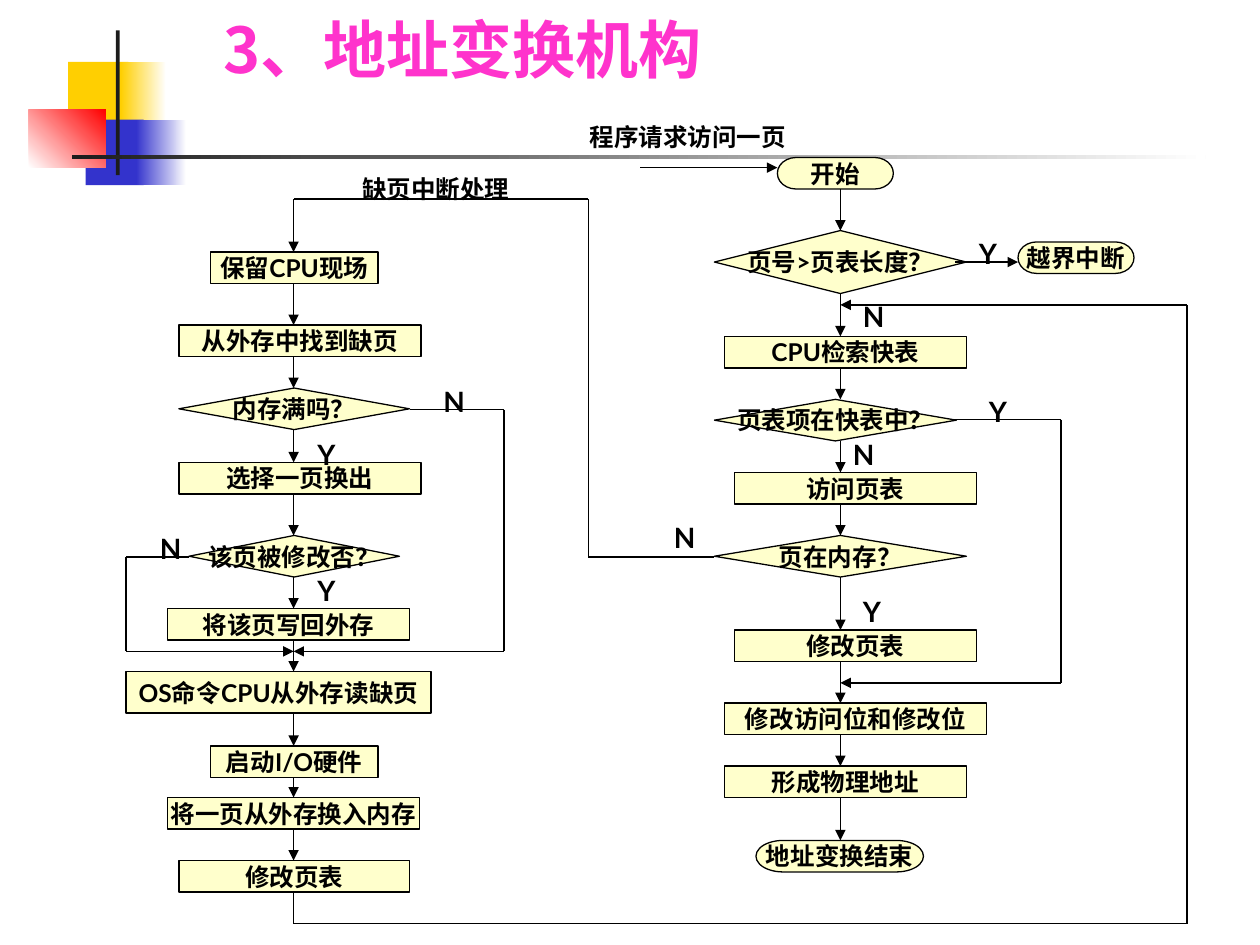
from dataclasses import dataclass
from itertools import pairwise

from lxml import etree
from pptx import Presentation
from pptx.dml.color import RGBColor
from pptx.enum.shapes import MSO_CONNECTOR, MSO_SHAPE
from pptx.enum.text import MSO_ANCHOR, PP_ALIGN
from pptx.oxml.ns import qn
from pptx.util import Inches, Pt

PROCESS = MSO_SHAPE.FLOWCHART_PROCESS
DECISION = MSO_SHAPE.FLOWCHART_DECISION
TERMINATOR = MSO_SHAPE.FLOWCHART_TERMINATOR
RECTANGLE = MSO_SHAPE.RECTANGLE
STRAIGHT = MSO_CONNECTOR.STRAIGHT
LEFT, CENTER = PP_ALIGN.LEFT, PP_ALIGN.CENTER

LATIN_FONT, CHINESE_FONT = "Lato", "Noto Sans CJK SC"
BLACK, WHITE, CREAM, PINK = "000000", "FFFFFF", "FFFFCC", "FF33CC"
YELLOW, BLUE, RED, CHARCOAL = "FFCF01", "3333CC", "FF0000", "1C1C1C"
LINE_WIDTH = Pt(0.75)
FAULT_X, LOOKUP_X = 2.33, 6.67  # centre lines of the two columns


@dataclass(frozen=True)
class Ornament:
    left: float
    top: float
    width: float
    height: float
    colors: tuple[str, ...]
    angle: int = 0


@dataclass(frozen=True)
class Node:
    text: str
    kind: int
    left: float
    top: float
    width: float
    height: float = 0.25


@dataclass(frozen=True)
class Label:
    text: str
    left: float
    top: float
    width: float = 0.33
    height: float = 0.37
    size: int = 16
    align: int = LEFT


@dataclass(frozen=True)
class Route:
    points: tuple[tuple[float, float], ...]
    arrow: bool = True


ORNAMENTS = [
    Ornament(0.54, 0.49, 0.48, 0.52, (YELLOW,)),
    Ornament(0.96, 0.49, 0.36, 0.52, (YELLOW, WHITE)),
    Ornament(0.68, 0.95, 0.46, 0.52, (BLUE,)),
    Ornament(1.08, 0.95, 0.4, 0.52, (BLUE, WHITE)),
    Ornament(0.23, 0.87, 0.61, 0.46, (WHITE, RED), 45),
    Ornament(0.92, 0.24, 0.03, 1.15, (CHARCOAL,)),
    Ornament(0.57, 1.23, 9, 0.03, (CHARCOAL, WHITE)),
]

# Each column runs from top to bottom
LOOKUP_COLUMN = [
    Node("开始", TERMINATOR, 6.17, 1.25, 0.92),
    Node("页号>页表长度？", DECISION, 5.67, 1.83, 2, 0.5),
    Node("CPU检索快表", PROCESS, 5.75, 2.67, 1.92),
    Node("页表项在快表中？", DECISION, 5.67, 3.17, 1.92, 0.33),
    Node("访问页表", PROCESS, 5.83, 3.75, 1.92),
    Node("页在内存？", DECISION, 5.67, 4.25, 2, 0.33),
    Node("修改页表", PROCESS, 5.83, 5, 1.92),
    Node("修改访问位和修改位", PROCESS, 5.75, 5.58, 2.08),
    Node("形成物理地址", PROCESS, 5.75, 6.08, 1.92),
    Node("地址变换结束", TERMINATOR, 6, 6.67, 1.33),
]
FAULT_COLUMN = [
    Node("保留CPU现场", PROCESS, 1.67, 2, 1.33),
    Node("从外存中找到缺页", PROCESS, 1.42, 2.58, 1.92),
    Node("内存满吗？", DECISION, 1.42, 3.08, 1.83, 0.33),
    Node("选择一页换出", PROCESS, 1.42, 3.67, 1.92),
    Node("该页被修改否？", DECISION, 1.5, 4.25, 1.67, 0.33),
    Node("将该页写回外存", PROCESS, 1.33, 4.83, 1.92),
    Node("OS命令CPU从外存读缺页", PROCESS, 1, 5.33, 2.42, 0.33),
    Node("启动I/O硬件", PROCESS, 1.67, 5.92, 1.33),
    Node("将一页从外存换入内存", PROCESS, 1.33, 6.33, 2),
    Node("修改页表", PROCESS, 1.42, 6.83, 1.83),
]
OUT_OF_RANGE = Node("越界中断", TERMINATOR, 8.08, 1.92, 0.92)

ROUTES = [
    Route(((5.08, 1.33), (6.17, 1.33))),
    Route(((7.58, 2.08), (8.08, 2.08))),
    Route(((7.58, 3.33), (8.42, 3.33), (8.42, 5.42), (LOOKUP_X, 5.42))),
    Route(((5.67, 4.42), (4.67, 4.42), (4.67, 1.58), (FAULT_X, 1.58), (FAULT_X, 2))),
    Route(((3.25, 3.25), (4, 3.25), (4, 5.17), (FAULT_X, 5.17))),
    Route(((1.5, 4.42), (1, 4.42), (1, 5.17), (FAULT_X, 5.17))),
    Route(((FAULT_X, 7.08), (FAULT_X, 7.33), (9.42, 7.33), (9.42, 2.42), (LOOKUP_X, 2.42))),
]

LABELS = [
    Label("程序请求访问一页", 4.42, 0.92, 2.08, 0.33, 14, CENTER),
    Label("缺页中断处理", 2.42, 1.33, 2.08, 0.33, 14, CENTER),
    Label("Y", 7.67, 1.83),
    Label("N", 6.75, 2.33),
    Label("Y", 7.75, 3.08),
    Label("N", 6.67, 3.42),
    Label("N", 5.25, 4.08),
    Label("Y", 6.75, 4.67),
    Label("N", 3.42, 3),
    Label("Y", 2.42, 3.42),
    Label("N", 1.17, 4.17),
    Label("Y", 2.42, 4.5),
]


def color(value: str) -> RGBColor:
    return RGBColor.from_string(value)


def write_text(shape, text: str, *, size: int = 14, fill: str = BLACK, font: str = LATIN_FONT,
               align: int = CENTER, anchor: int = MSO_ANCHOR.MIDDLE, wrap: bool = True) -> None:
    frame = shape.text_frame
    frame.word_wrap = wrap
    frame.vertical_anchor = anchor
    paragraph = frame.paragraphs[0]
    paragraph.alignment = align
    run = paragraph.add_run()
    run.text = text
    run.font.size, run.font.bold, run.font.name = Pt(size), True, font
    run.font.color.rgb = color(fill)
    east_asian = etree.SubElement(run.font._element, qn("a:ea"))
    east_asian.set("typeface", CHINESE_FONT)


def add_box(slide, kind: int, item):
    shape = slide.shapes.add_shape(
        kind, Inches(item.left), Inches(item.top), Inches(item.width), Inches(item.height))
    shape.shadow.inherit = False
    return shape


def add_ornament(slide, ornament: Ornament) -> None:
    shape = add_box(slide, RECTANGLE, ornament)
    shape.line.fill.background()
    if len(ornament.colors) == 1:
        shape.fill.solid()
        shape.fill.fore_color.rgb = color(ornament.colors[0])
        return
    shape.fill.gradient()
    shape.fill.gradient_angle = ornament.angle
    for stop, value in zip(shape.fill.gradient_stops, ornament.colors):
        stop.color.rgb = color(value)


def add_node(slide, node: Node) -> None:
    shape = add_box(slide, node.kind, node)
    shape.fill.solid()
    shape.fill.fore_color.rgb = color(CREAM)
    shape.line.color.rgb = color(BLACK)
    shape.line.width = LINE_WIDTH
    write_text(shape, node.text, wrap=False)


def add_route(slide, route: Route) -> None:
    for start, end in pairwise(route.points):
        connector = slide.shapes.add_connector(STRAIGHT, *map(Inches, start + end))
        connector.line.color.rgb = color(BLACK)
        connector.line.width = LINE_WIDTH
        if route.arrow and end is route.points[-1]:
            etree.SubElement(connector.line._get_or_add_ln(), qn("a:tailEnd")).set("type", "triangle")
        etree.SubElement(connector._element.spPr, qn("a:effectLst"))


def add_column(slide, nodes: list[Node], center: float) -> None:
    for node in nodes:
        add_node(slide, node)
    for upper, lower in pairwise(nodes):
        add_route(slide, Route(((center, upper.top + upper.height), (center, lower.top))))


def add_label(slide, label: Label) -> None:
    box = slide.shapes.add_textbox(
        Inches(label.left), Inches(label.top), Inches(label.width), Inches(label.height))
    write_text(box, label.text, size=label.size, align=label.align, anchor=MSO_ANCHOR.TOP)


def main() -> None:
    presentation = Presentation()
    presentation.slide_width, presentation.slide_height = Inches(10), Inches(7.5)
    slide = presentation.slides.add_slide(presentation.slide_layouts[5])

    # Corner decoration and title
    for ornament in ORNAMENTS:
        add_ornament(slide, ornament)
    title = slide.shapes.title
    title.left, title.top, title.width, title.height = map(Inches, (1.67, 0.36, 6.75, 0.37))
    write_text(title, "3、地址变换机构", size=36, fill=PINK, font=CHINESE_FONT,
               align=LEFT, anchor=MSO_ANCHOR.BOTTOM)

    # Flowchart
    add_column(slide, LOOKUP_COLUMN, LOOKUP_X)
    add_column(slide, FAULT_COLUMN, FAULT_X)
    add_node(slide, OUT_OF_RANGE)
    for route in ROUTES:
        add_route(slide, route)
    for label in LABELS:
        add_label(slide, label)

    presentation.save("out.pptx")


if __name__ == "__main__":
    main()
